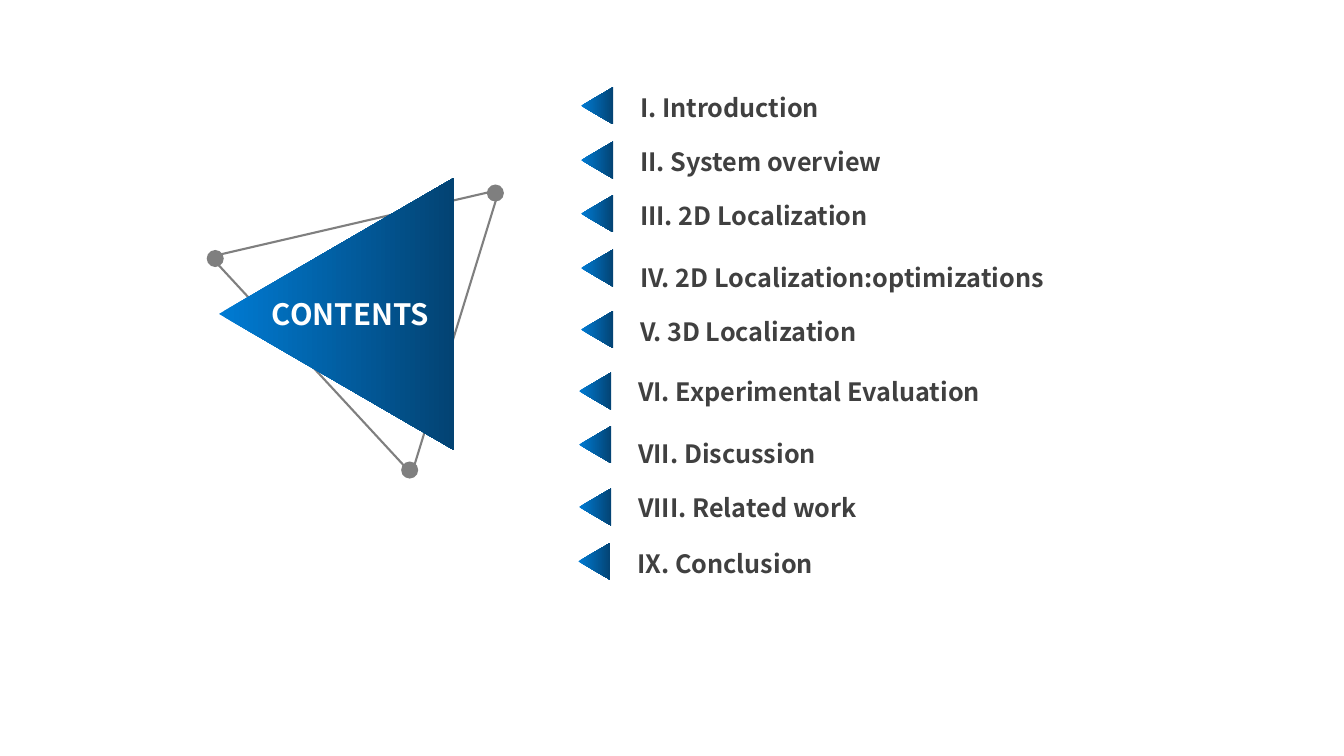
import dataclasses

import pptx
import pptx.dml.color
import pptx.enum.shapes
import pptx.enum.text
import pptx.shapes.autoshape
import pptx.slide
import pptx.text.text
import pptx.util

Cm = pptx.util.Cm
ShapeType = pptx.enum.shapes.MSO_SHAPE


@dataclasses.dataclass(frozen=True)
class Theme:
    font: str = "Noto Sans CJK SC"
    title_size: int = 21
    item_size: int = 18
    title_color: str = "FFFFFF"
    item_color: str = "404040"
    frame_color: str = "7F7F7F"
    gradient_start: str = "007BD3"
    gradient_end: str = "034373"


@dataclasses.dataclass(frozen=True)
class Box:
    left: float
    top: float
    width: float
    height: float


@dataclasses.dataclass(frozen=True)
class ContentsItem:
    text: str
    marker_left: float
    marker_top: float
    label_top: float
    label_width: float


THEME = Theme()
FRAME = Box(4.65, 4.19, 7.49, 6.45)
FRAME_ROTATION = 287.1
EMBLEM = Box(5.05, 4.95, 6.86, 5.92)
TITLE = Box(6.6, 7.34, 4.83, 1.14)
DOT_SIZE = 0.43
DOT_CORNERS = [(5.21, 6.3), (10.11, 11.63), (12.27, 4.65)]
MARKER_WIDTH, MARKER_HEIGHT = 0.94, 0.81
LABEL_OFFSET, LABEL_HEIGHT = 1.3, 1.02
ITEMS = [
    ContentsItem("I. Introduction", 14.58, 2.26, 2.21, 8.2),
    ContentsItem("II. System overview", 14.58, 3.63, 3.56, 10.85),
    ContentsItem("III. 2D Localization", 14.58, 4.98, 4.93, 14.22),
    ContentsItem("IV. 2D Localization:optimizations", 14.58, 6.35, 6.48, 15.06),
    ContentsItem("V. 3D Localization", 14.58, 7.9, 7.85, 8.64),
    ContentsItem("VI. Experimental Evaluation", 14.53, 9.45, 9.37, 14.22),
    ContentsItem("VII. Discussion", 14.53, 10.8, 10.92, 15.06),
    ContentsItem("VIII. Related work", 14.53, 12.37, 12.29, 8.64),
    ContentsItem("IX. Conclusion", 14.51, 13.74, 13.69, 8.64),
]


def rgb(color: str) -> pptx.dml.color.RGBColor:
    return pptx.dml.color.RGBColor.from_string(color)


def lengths(box: Box) -> tuple[Cm, Cm, Cm, Cm]:
    return Cm(box.left), Cm(box.top), Cm(box.width), Cm(box.height)


def add_plain_shape(
    shapes, kind: ShapeType, box: Box
) -> pptx.shapes.autoshape.Shape:
    shape = shapes.add_shape(kind, *lengths(box))
    shape.shadow.inherit = False
    shape.line.fill.background()
    return shape


def add_gradient_triangle(shapes, box: Box) -> None:
    triangle = add_plain_shape(shapes, ShapeType.ISOSCELES_TRIANGLE, box)
    triangle.rotation = 270
    triangle.fill.gradient()
    triangle.fill.gradient_angle = 270
    colors = (THEME.gradient_start, THEME.gradient_end)
    for stop, color in zip(triangle.fill.gradient_stops, colors):
        stop.color.rgb = rgb(color)


def write_text(
    frame: pptx.text.text.TextFrame, text: str, size: int, color: str
) -> None:
    frame.text = text
    frame.word_wrap = True
    frame.auto_size = pptx.enum.text.MSO_AUTO_SIZE.SHAPE_TO_FIT_TEXT
    frame.vertical_anchor = pptx.enum.text.MSO_ANCHOR.TOP
    paragraph = frame.paragraphs[0]
    paragraph.alignment = pptx.enum.text.PP_ALIGN.LEFT
    paragraph.font.name = THEME.font
    paragraph.font.size = pptx.util.Pt(size)
    paragraph.font.bold = True
    paragraph.font.color.rgb = rgb(color)


def add_emblem(slide: pptx.slide.Slide) -> None:
    group = slide.shapes.add_group_shape()
    frame = add_plain_shape(group.shapes, ShapeType.ISOSCELES_TRIANGLE, FRAME)
    frame.rotation = FRAME_ROTATION
    frame.fill.background()
    frame.line.color.rgb = rgb(THEME.frame_color)
    frame.line.width = pptx.util.Pt(1.5)
    add_gradient_triangle(group.shapes, EMBLEM)
    for left, top in DOT_CORNERS:
        dot_box = Box(left, top, DOT_SIZE, DOT_SIZE)
        dot = add_plain_shape(group.shapes, ShapeType.OVAL, dot_box)
        dot.fill.solid()
        dot.fill.fore_color.rgb = rgb(THEME.frame_color)


def place_title(slide: pptx.slide.Slide) -> None:
    title = slide.shapes.title
    title.left, title.top, title.width, title.height = lengths(TITLE)
    write_text(title.text_frame, "CONTENTS", THEME.title_size, THEME.title_color)
    title.element.getparent().append(title.element)


def add_item(slide: pptx.slide.Slide, item: ContentsItem) -> None:
    marker = Box(item.marker_left, item.marker_top, MARKER_WIDTH, MARKER_HEIGHT)
    add_gradient_triangle(slide.shapes, marker)
    label_left = item.marker_left + LABEL_OFFSET
    label_box = Box(label_left, item.label_top, item.label_width, LABEL_HEIGHT)
    label = slide.shapes.add_textbox(*lengths(label_box))
    write_text(label.text_frame, item.text, THEME.item_size, THEME.item_color)


def main() -> None:
    presentation = pptx.Presentation()
    presentation.slide_width = Cm(33.87)
    presentation.slide_height = Cm(19.05)
    layout = presentation.slide_layouts.get_by_name("Title Only")
    slide = presentation.slides.add_slide(layout)
    add_emblem(slide)
    place_title(slide)
    for item in ITEMS:
        add_item(slide, item)
    presentation.save("out.pptx")


if __name__ == "__main__":
    main()
